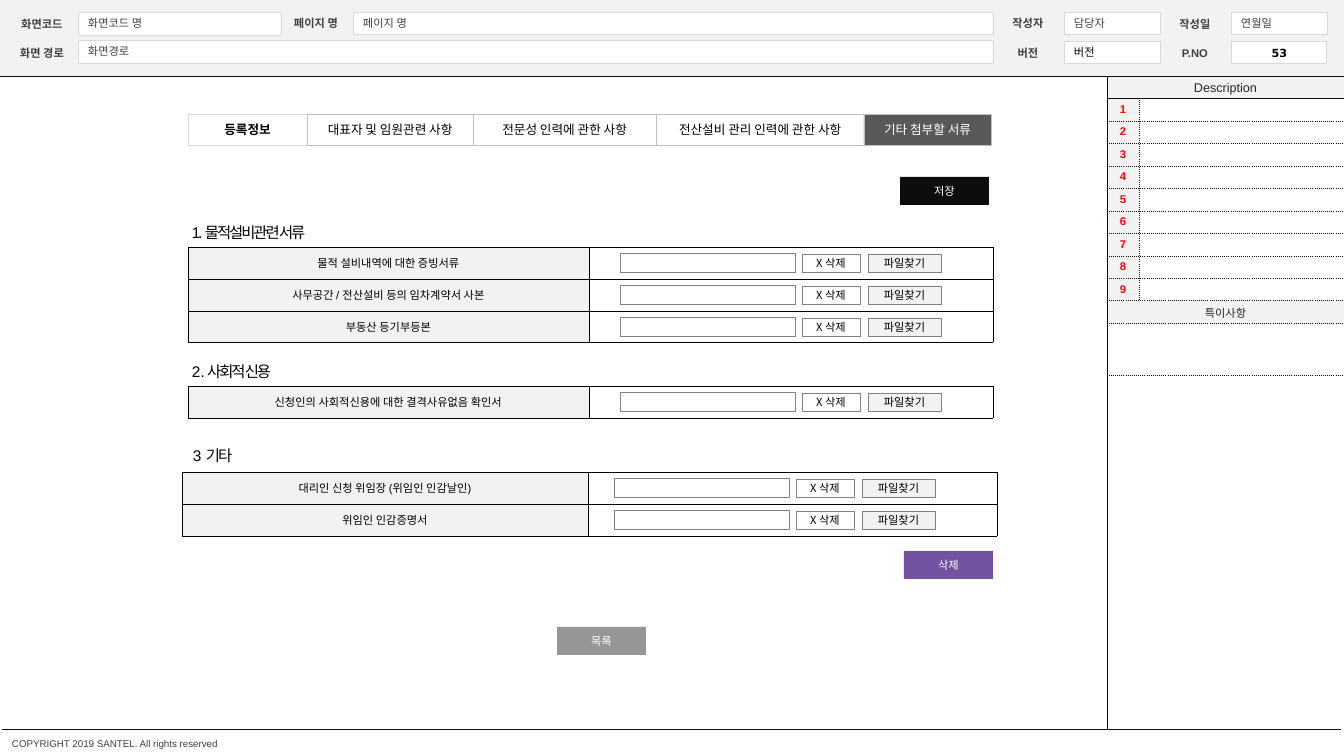
from lxml.etree import SubElement
from pptx import Presentation
from pptx.dml.color import RGBColor
from pptx.enum.dml import MSO_LINE
from pptx.enum.shapes import MSO_CONNECTOR, MSO_SHAPE
from pptx.enum.text import MSO_ANCHOR as ANCHOR, PP_ALIGN as ALIGN
from pptx.oxml.ns import qn
from pptx.util import Pt

PX = 914400 / 100.8
SANS, CJK, DIGITS = "Arial", "Noto Sans CJK KR", "DejaVu Sans"
COLORS = {
    "white": "FFFFFF", "black": "000000", "ink": "0D0D0D", "panel": "F2F2F2",
    "label": "404040", "text": "262626", "red": "FF0000", "border": "D9D9D9",
    "tab": "BFBFBF", "control": "808080", "active": "595959",
    "list": "969696", "purple": "7153A1",
}


def px(n):
    return round(n * PX)


def rgb(name):
    return RGBColor.from_string(COLORS[name])


class Screen:
    """Draws interface elements on one slide, in px."""

    def __init__(self, slide):
        self.s = slide

    def set_text(self, tf, text, size=8, color="black", font=SANS, bold=False,
                 align=ALIGN.CENTER, inset=0, spacing=None):
        tf.word_wrap = True
        tf.margin_left = tf.margin_right = px(inset)
        tf.margin_top = tf.margin_bottom = 0
        p = tf.paragraphs[0]
        p.alignment = align
        r = p.add_run()
        r.text = text
        if spacing:
            r.font._element.set("spc", str(spacing))
        self.style(p, size, color, font, bold)

    def style(self, p, size, color, font=SANS, bold=False):
        p.font.size, p.font.name, p.font.bold = Pt(size), font, bold
        p.font.color.rgb = rgb(color)

    def rect(self, x, y, w, h, fill=None, line=None, width=0.25, text=None, **style):
        sp = self.s.shapes.add_shape(MSO_SHAPE.RECTANGLE, px(x), px(y), px(w), px(h))
        sp.shadow.inherit = False
        if fill:
            sp.fill.solid()
            sp.fill.fore_color.rgb = rgb(fill)
        else:
            sp.fill.background()
        if line:
            sp.line.color.rgb = rgb(line)
            sp.line.width = Pt(width)
        else:
            sp.line.fill.background()
        if text:
            sp.text_frame.vertical_anchor = ANCHOR.MIDDLE
            self.set_text(sp.text_frame, text, **style)

    def label(self, x, y, w, h, text, **style):
        tf = self.s.shapes.add_textbox(px(x), px(y), px(w), px(h)).text_frame
        self.set_text(tf, text, **style)

    def rule(self, x1, y1, x2, y2):
        line = self.s.shapes.add_connector(
            MSO_CONNECTOR.STRAIGHT, px(x1), px(y1), px(x2), px(y2))
        line.line.color.rgb = rgb("ink")
        line.line.width = Pt(0.25)
        line.line.dash_style = MSO_LINE.ROUND_DOT
        SubElement(line._element.spPr, qn("a:effectLst"))

    def table(self, x, y, cols, rows):
        table = self.s.shapes.add_table(
            len(rows), len(cols), px(x), px(y), px(sum(cols)), px(sum(rows))).table
        table.first_row = table.horz_banding = False
        for col, w in zip(table.columns, cols):
            col.width = px(w)
        for row, h in zip(table.rows, rows):
            row.height = px(h)
        return table

    def cell(self, cell, text, fill, border, width, dash="solid", color="black", bold=False):
        tcPr = cell._tc.get_or_add_tcPr()
        for side in ("lnL", "lnR", "lnT", "lnB"):
            ln = SubElement(tcPr, qn(f"a:{side}"), w=str(Pt(width)))
            SubElement(SubElement(ln, qn("a:solidFill")), qn("a:srgbClr"), val=COLORS[border])
            SubElement(ln, qn("a:prstDash"), val=dash)
        cell.fill.solid()
        cell.fill.fore_color.rgb = rgb(fill)
        cell.vertical_anchor = ANCHOR.MIDDLE
        cell.margin_left = cell.margin_right = cell.margin_top = cell.margin_bottom = px(2)
        p = cell.text_frame.paragraphs[0]
        p.alignment = ALIGN.CENTER
        if text:
            p.add_run().text = text
        else:
            SubElement(p._p, qn("a:endParaRPr"), sz="800")
        self.style(p, 8, color, bold=bold)

    def field(self, x, y, w, h, value, color="label"):
        self.rect(x, y, w, h, "white", "border", text=value, color=color,
                  align=ALIGN.LEFT, inset=10)

    def button(self, x, y, text, fill):
        self.rect(x, y, 89, 28, fill, text=text, font=CJK, color="white")

    def uploads(self, x, y, cols, names):
        """A table of documents with file controls on every row."""
        heights = [32, 32, 31][:len(names)]
        table = self.table(x, y, cols, heights)
        for i, name in enumerate(names):
            self.cell(table.cell(i, 0), name, "panel", "black", 0.25)
            self.cell(table.cell(i, 1), "", "white", "black", 0.25)
            top = y + 32 * i + 6
            self.rect(x + 432, top, 175, 19, "white", "control", 0.5)
            for dx, w, text, fill in ((614, 58, "X 삭제", "white"), (680, 73, "파일찾기", "panel")):
                self.rect(x + dx, top + 1, w, 18, fill, "control", 0.5, text=text, font=CJK)


def main():
    prs = Presentation()
    prs.slide_width, prs.slide_height = px(1344), px(756)
    screen = Screen(prs.slides.add_slide(prs.slide_layouts[6]))

    # Header band
    screen.rect(0, 0, 1344, 76, "panel")
    for x, y, text in ((6, 17, "화면코드"), (6, 46, "화면 경로"), (280, 16, "페이지 명"),
                       (992, 16, "작성자"), (1159, 17, "작성일"),
                       (992, 46, "버전"), (1159, 46, "P.NO")):
        screen.label(x, y, 72, 13, text, color="label", bold=True)
    screen.field(78, 12, 203, 23, "화면코드 명")
    screen.field(353, 12, 640, 22, "페이지 명")
    screen.field(78, 40, 915, 23, "화면경로")
    screen.field(1064, 12, 96, 22, "담당자")
    screen.field(1231, 12, 96, 22, "연월일")
    screen.field(1064, 41, 96, 22, "버전", "black")
    screen.rect(1232, 42, 95, 22, "white", "border", 0.75, text="53", font=DIGITS, bold=True)

    # Description panel
    screen.rect(1107, 77, 237, 21, "panel", text="Description", size=9, color="text")
    rows = [23, 22] * 4 + [23, 23, 52]
    notes = screen.table(1107, 98, [32, 205], rows)
    for i in range(len(rows)):
        numbered = i < 9
        if not numbered:
            notes.cell(i, 0).merge(notes.cell(i, 1))
        text = str(i + 1) if numbered else ("특이사항", "")[i - 9]
        screen.cell(notes.cell(i, 0), text, "panel" if text else "white", "ink", 0.5,
                    "sysDot", "red" if numbered else "text", numbered)
        screen.cell(notes.cell(i, 1), "", "white", "ink", 0.5, "sysDot")

    # Frame lines and footer
    screen.rule(0, 76, 1344, 76)
    screen.rule(1107, 98, 1344, 98)
    screen.rule(1107, 77, 1107, 729)
    screen.rule(2, 729, 1340, 729)
    screen.label(12, 738, 368, 12, "COPYRIGHT 2019 SANTEL. All rights reserved",
                 size=7, color="label", align=ALIGN.LEFT)

    # Tabs
    tabs = ((188, 119, "등록정보"), (307, 166, "대표자 및 임원관련 사항"),
            (473, 183, "전문성 인력에 관한 사항"), (656, 208, "전산설비 관리 인력에 관한 사항"),
            (864, 127, "기타 첨부할 서류"))
    for i, (x, w, text) in enumerate(tabs):
        first, active = i == 0, i == len(tabs) - 1
        screen.rect(x, 114, w, 31, "active" if active else "white",
                    "border" if first else "tab", text=text, size=9, font=CJK,
                    color="white" if active else "black", bold=first)

    # Document sections
    for x, y, text in ((182, 218, "1. 물적설비관련 서류"), (182, 357, "2 . 사회적 신용"),
                       (183, 441, "3  기타")):
        screen.label(x, y + 5, 246, 24, text, size=11, align=ALIGN.LEFT,
                     inset=10, spacing=-150)
    screen.uploads(188, 247, [401, 404], ["물적 설비내역에 대한 증빙서류",
                                          "사무공간 / 전산설비 등의 임차계약서 사본",
                                          "부동산 등기부등본"])
    screen.uploads(188, 386, [401, 404], ["신청인의 사회적신용에 대한 결격사유없음 확인서"])
    screen.uploads(182, 472, [406, 409], ["대리인 신청 위임장 (위임인 인감날인)", "위임인 인감증명서"])

    # Action buttons
    screen.button(900, 177, "저장", "ink")
    screen.button(904, 551, "삭제", "purple")
    screen.button(557, 627, "목록", "list")

    prs.save("out.pptx")


if __name__ == "__main__":
    main()
